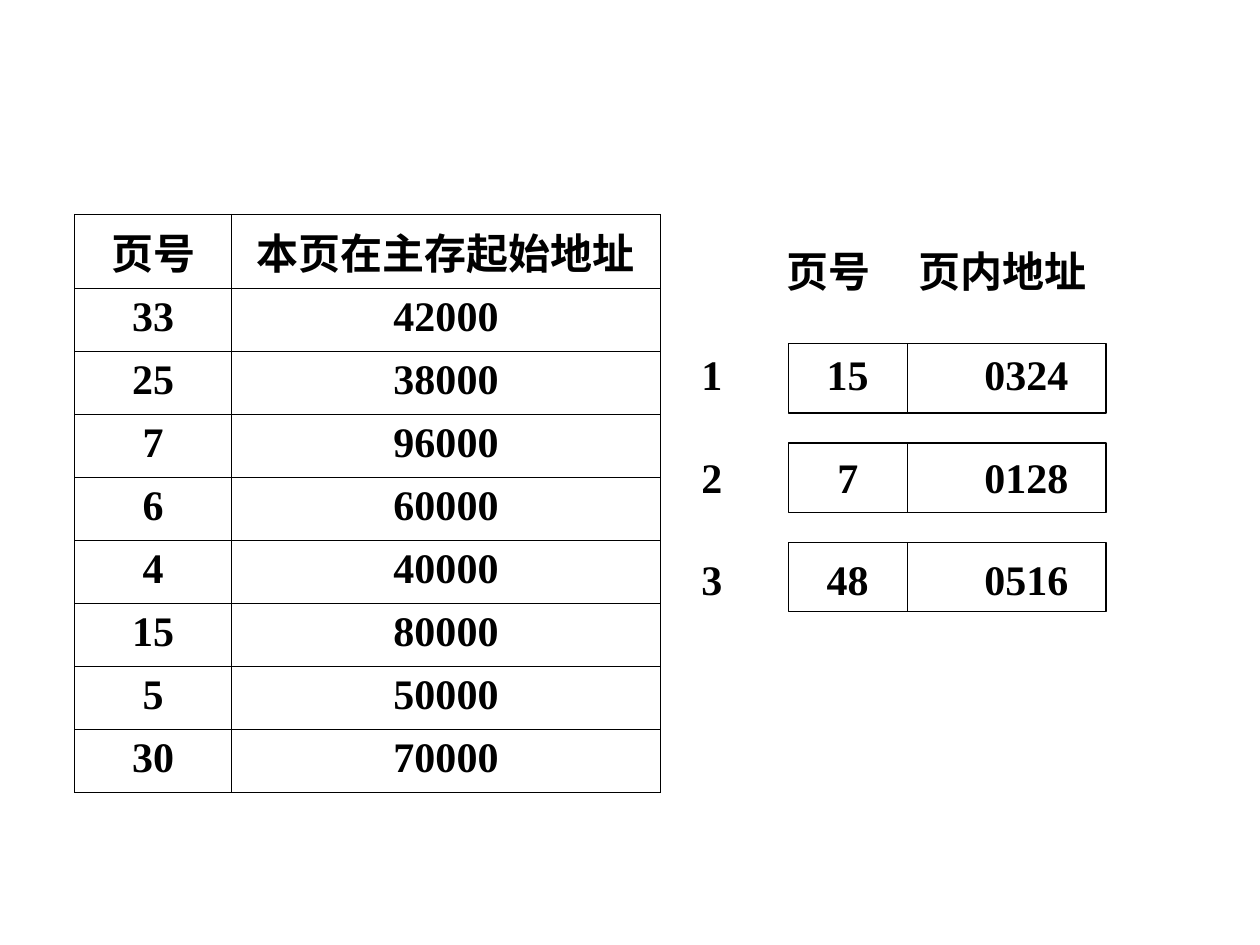
from lxml import etree
from pptx import Presentation
from pptx.dml.color import RGBColor
from pptx.enum.shapes import MSO_CONNECTOR, MSO_SHAPE
from pptx.enum.text import MSO_ANCHOR, PP_ALIGN
from pptx.oxml.ns import qn
from pptx.util import Cm, Pt

RECT = MSO_SHAPE.RECTANGLE
LINE = MSO_CONNECTOR.STRAIGHT
MIDDLE = MSO_ANCHOR.MIDDLE
CENTER = PP_ALIGN.CENTER
COLORS = {"ink": "000000"}


class Page:
    def __init__(self, slide, font="Times New Roman", size=24):
        self.slide = slide
        self.font = font
        self.size = size
        self.ink = RGBColor.from_string(COLORS["ink"])

    def run(self, para, text):
        run = para.add_run()
        run.text = text
        run.font.name = self.font
        run.font.size = Pt(self.size)
        run.font.bold = True
        run.font.color.rgb = self.ink

    def border(self, cell, width=0.45):
        props = cell._tc.get_or_add_tcPr()
        for i, side in enumerate(("lnL", "lnR", "lnT", "lnB")):
            line = etree.Element(qn(f"a:{side}"), w=str(Pt(width)))
            fill = etree.SubElement(line, qn("a:solidFill"))
            etree.SubElement(fill, qn("a:srgbClr"), val=COLORS["ink"])
            props.insert(i, line)

    def table(self, x, y, widths, height, rows):
        frame = self.slide.shapes.add_table(
            len(rows), len(widths), Cm(x), Cm(y),
            Cm(sum(widths)), Cm(height * len(rows)))
        table = frame.table
        table.first_row = table.horz_banding = False
        for col, width in zip(table.columns, widths):
            col.width = Cm(width)
        for r, row in enumerate(rows):
            table.rows[r].height = Cm(height)
            for c, text in enumerate(row):
                cell = table.cell(r, c)
                cell.fill.background()
                self.border(cell)
                para = cell.text_frame.paragraphs[0]
                para.alignment = CENTER
                self.run(para, text)

    def tabs(self, para, stops):
        stop_list = etree.SubElement(para._p.get_or_add_pPr(), qn("a:tabLst"))
        for stop in stops:
            etree.SubElement(stop_list, qn("a:tab"),
                             pos=str(Cm(stop)), algn="ctr")

    def text(self, x, y, w, h, lines, gap):
        box = self.slide.shapes.add_textbox(Cm(x), Cm(y), Cm(w), Cm(h))
        frame = box.text_frame
        frame.word_wrap = True
        frame.vertical_anchor = MIDDLE
        for i, (stops, parts) in enumerate(lines):
            para = frame.add_paragraph() if i else frame.paragraphs[0]
            self.tabs(para, stops)
            if i:
                para.space_before = Pt(gap)
            self.run(para, "\t".join(parts))

    def rect(self, x, y, w, h):
        shape = self.slide.shapes.add_shape(RECT, Cm(x), Cm(y), Cm(w), Cm(h))
        shape.shadow.inherit = False
        shape.fill.background()
        shape.line.color.rgb = self.ink
        shape.line.width = Pt(0.75)

    def line(self, x1, y1, x2, y2):
        line = self.slide.shapes.add_connector(
            LINE, Cm(x1), Cm(y1), Cm(x2), Cm(y2))
        line.line.color.rgb = self.ink
        line.line.width = Pt(0.75)
        etree.SubElement(line._element.spPr, qn("a:effectLst"))


def main():
    deck = Presentation()
    deck.slide_width, deck.slide_height = Cm(25.4), Cm(19.05)
    page = Page(deck.slides.add_slide(deck.slide_layouts[6]))

    # Page table
    page.table(1.5, 4.32, (3.17, 8.64), 1.27, [
        ("页号", "本页在主存起始地址"),
        ("33", "42000"),
        ("25", "38000"),
        ("7", "96000"),
        ("6", "60000"),
        ("4", "40000"),
        ("15", "80000"),
        ("5", "50000"),
        ("30", "70000"),
    ])

    # Logical addresses, columns centred on tab stops
    head, body = (2.57, 6.07), (2.95, 6.55)
    page.text(13.89, 4.88, 8.81, 7.37, [
        (head, ("", "页号", "页内地址")),
        (body, ("1", "15", "0324")),
        (body, ("2", "7", "0128")),
        (body, ("3", "48", "0516")),
    ], gap=30)

    # Address frames, then their dividers
    height = 1.4
    tops = [6.93 + 2 * i for i in range(3)]
    for top in tops:
        page.rect(15.9, top, 6.4, height)
    for top in tops:
        page.line(18.29, top, 18.29, top + height)

    deck.save("out.pptx")


if __name__ == "__main__":
    main()
